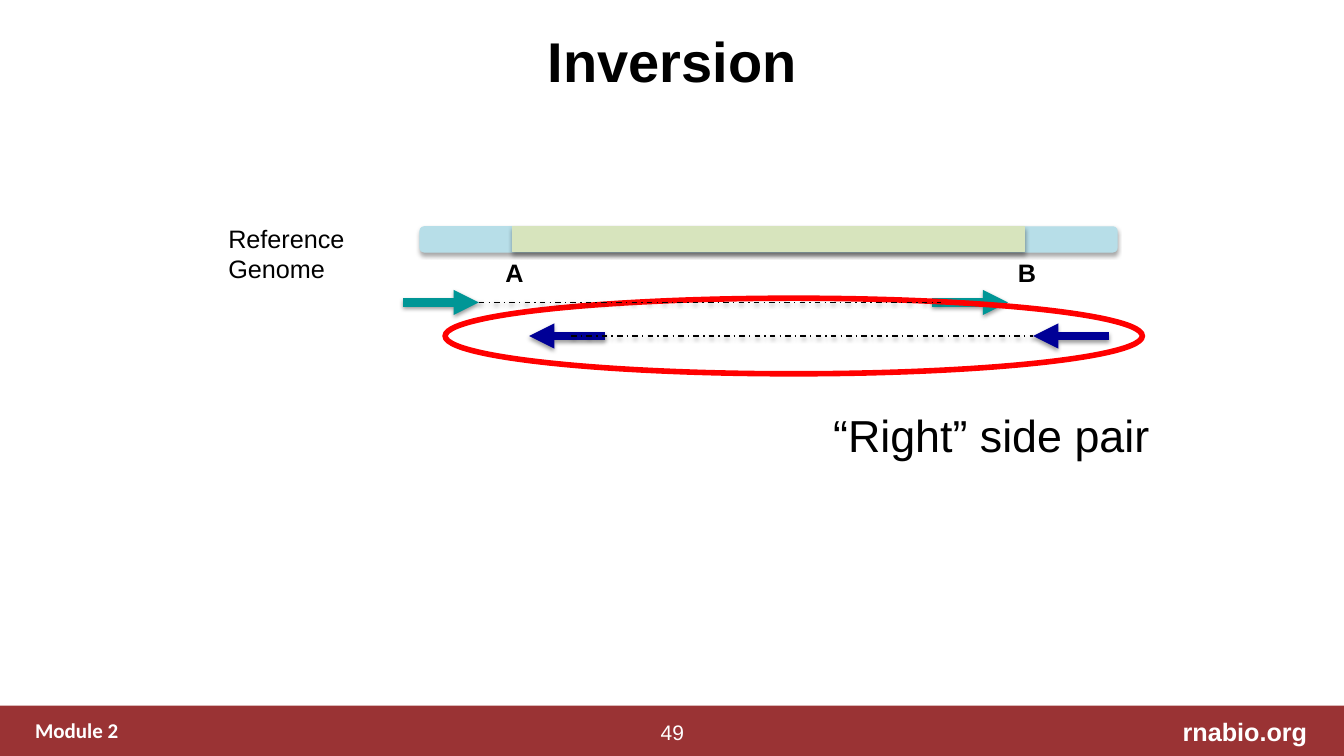
import dataclasses

import lxml.etree
import pptx
import pptx.dml.color
import pptx.enum.dml
import pptx.enum.shapes
import pptx.enum.text
import pptx.oxml.ns
import pptx.util

SHAPES = pptx.enum.shapes.MSO_SHAPE
ALIGN = pptx.enum.text.PP_ALIGN
ANCHOR = pptx.enum.text.MSO_ANCHOR
DASH_DOT = pptx.enum.dml.MSO_LINE.DASH_DOT

# The slide is a grid of square cells, twelve to the inch
COLUMNS, ROWS = 160, 90
CELL = pptx.util.Inches(1 / 12)

COLOURS = {
    "footer": "9A3334",
    "white": "FFFFFF",
    "black": "000000",
    "genome": "B7DEE8",
    "inverted": "D7E4BD",
    "left pair": "009696",
    "right pair": "000096",
    "highlight": "FF0000",
}


@dataclasses.dataclass
class Bar:
    left: float
    top: float
    width: float
    height: float
    fill: str | None = None
    line: str | None = None
    line_width: float = 0.75
    outline: int = SHAPES.RECTANGLE
    shadow: bool = False


@dataclasses.dataclass
class Stroke:
    start: float
    end: float
    row: float
    colour: str
    width: float = 6
    arrow: bool = True


def cells(count: float) -> int:
    return round(count * CELL)


def colour(name: str) -> pptx.dml.color.RGBColor:
    return pptx.dml.color.RGBColor.from_string(COLOURS[name])


def add_shadow(properties, opacity: int, distance: float) -> None:
    """Drop a soft black shadow straight down."""
    qn = pptx.oxml.ns.qn
    effects = lxml.etree.SubElement(properties, qn("a:effectLst"))
    shadow = lxml.etree.SubElement(
        effects, qn("a:outerShdw"), blurRad=str(pptx.util.Pt(3.1)),
        dist=str(pptx.util.Pt(distance)), dir="5400000", rotWithShape="0")
    black = lxml.etree.SubElement(shadow, qn("a:srgbClr"), val=COLOURS["black"])
    lxml.etree.SubElement(black, qn("a:alpha"), val=str(opacity * 1000))


def draw_bar(slide, bar: Bar) -> None:
    shape = slide.shapes.add_shape(
        bar.outline, *map(cells, (bar.left, bar.top, bar.width, bar.height)))
    if bar.fill:
        shape.fill.solid()
        shape.fill.fore_color.rgb = colour(bar.fill)
    else:
        shape.fill.background()
    if bar.line:
        shape.line.color.rgb = colour(bar.line)
        shape.line.width = pptx.util.Pt(bar.line_width)
    else:
        shape.line.fill.background()
    if bar.shadow:
        add_shadow(shape._element.spPr, 35, 1.8)
    else:
        shape.shadow.inherit = False


def draw_stroke(slide, stroke: Stroke) -> None:
    connector = slide.shapes.add_connector(
        pptx.enum.shapes.MSO_CONNECTOR.STRAIGHT,
        cells(stroke.start), cells(stroke.row), cells(stroke.end), cells(stroke.row))
    connector.line.color.rgb = colour(stroke.colour)
    connector.line.width = pptx.util.Pt(stroke.width)
    if stroke.arrow:
        lxml.etree.SubElement(connector.line._get_or_add_ln(),
                              pptx.oxml.ns.qn("a:tailEnd"), type="triangle")
    else:
        connector.line.dash_style = DASH_DOT
    add_shadow(connector._element.spPr, 38, 1.6)


def write(slide, text: str, left: float, top: float, width: float, height: float, *,
          size: float = 18, bold: bool = False, ink: str = "black",
          font: str = "Arial", align: int = ALIGN.LEFT,
          anchor: int = ANCHOR.TOP, wrap: bool = True) -> None:
    frame = slide.shapes.add_textbox(
        *map(cells, (left, top, width, height))).text_frame
    frame.word_wrap = wrap
    frame.vertical_anchor = anchor
    paragraph = frame.paragraphs[0]
    paragraph.alignment = align
    run = paragraph.add_run()
    run.text = text
    run.font.name = font
    run.font.size = pptx.util.Pt(size)
    run.font.bold = bold
    run.font.color.rgb = colour(ink)


def main() -> None:
    deck = pptx.Presentation()
    deck.slide_width, deck.slide_height = cells(COLUMNS), cells(ROWS)
    slide = deck.slides.add_slide(deck.slide_layouts[6])

    # Footer
    draw_bar(slide, Bar(0, 84, COLUMNS, 6, "footer"))
    write(slide, "Module 2", 3, 84.8, 117.4, 4.2,
          size=15, bold=True, ink="white", font="Calibri")
    write(slide, "rnabio.org", 115.6, 84.7, 41.2, 4.8,
          bold=True, ink="white", align=ALIGN.RIGHT)
    write(slide, "49", 77.3, 85, 5.5, 4.2, size=15, ink="white",
          align=ALIGN.CENTER, anchor=ANCHOR.MIDDLE, wrap=False)

    # Title
    write(slide, "Inversion", 22, -0.4, 116, 15, size=40, bold=True,
          align=ALIGN.CENTER, anchor=ANCHOR.MIDDLE)

    # Reference genome with the inverted segment between A and B
    write(slide, "Reference Genome", 26, 26, 17, 8.5)
    draw_bar(slide, Bar(50, 27, 83, 3, "genome", "genome",
                        outline=SHAPES.ROUNDED_RECTANGLE, shadow=True))
    draw_bar(slide, Bar(61, 27, 61, 3, "inverted", "inverted", shadow=True))
    for breakpoint_name, column in (("A", 59), ("B", 120)):
        write(slide, breakpoint_name, column, 30, 4.6, 4.8, bold=True, wrap=False)

    # Read pairs
    left_row, right_row, read = 36, 40, 9
    for start in (48, 111):
        draw_stroke(slide, Stroke(start, start + read, left_row, "left pair"))
    for start in (132, 72):
        draw_stroke(slide, Stroke(start, start - read, right_row, "right pair"))

    # Highlighted pair
    write(slide, "“Right” side pair", 98, 48, 40.4, 7.7, size=32, wrap=False)
    draw_bar(slide, Bar(53, 35.5, 83, 9, line="highlight", line_width=4,
                        outline=SHAPES.OVAL))

    # Links between the reads of each pair
    for start, row in ((57, left_row), (68, right_row)):
        draw_stroke(slide, Stroke(start, start + 55, row, "black", 1, arrow=False))

    deck.save("out.pptx")


if __name__ == "__main__":
    main()
